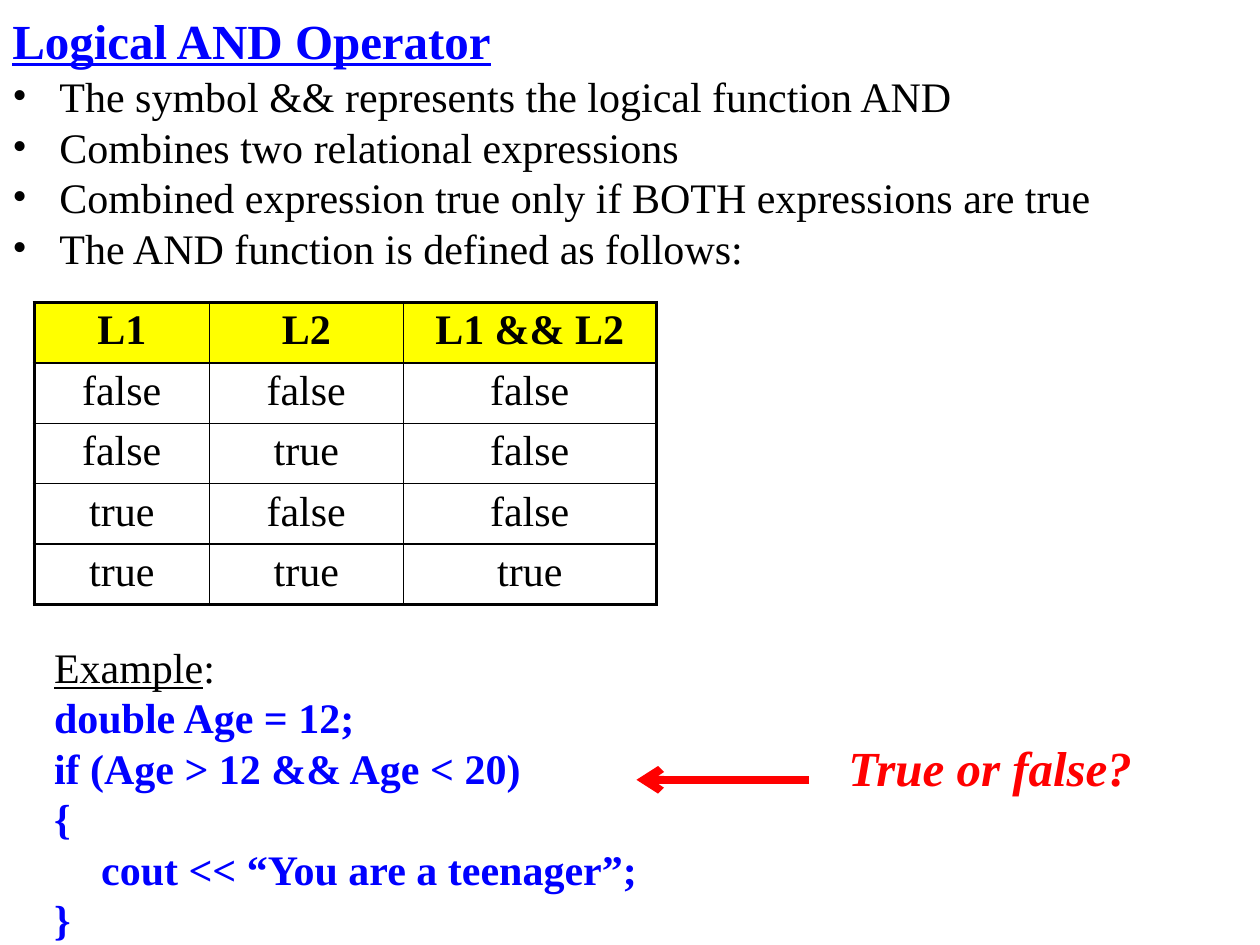
from lxml.etree import SubElement
from pptx import Presentation
from pptx.dml.color import RGBColor
from pptx.enum.shapes import MSO_CONNECTOR
from pptx.enum.text import MSO_ANCHOR, PP_ALIGN
from pptx.oxml.ns import qn
from pptx.util import Cm, Pt

FONT = "Times New Roman"
BLACK, BLUE, RED, YELLOW = "000000", "0000FF", "FF0000", "FFFF00"
THIN, THICK = 1, 2.25

POINTS = [
    "The symbol && represents the logical function AND",
    "Combines two relational expressions",
    "Combined expression true only if BOTH expressions are true",
    "The AND function is defined as follows:",
]
TRUTH = [
    ["L1", "L2", "L1 && L2"],
    ["false", "false", "false"],
    ["false", "true", "false"],
    ["true", "false", "false"],
    ["true", "true", "true"],
]
CODE = [
    "double Age = 12;",
    "if (Age > 12 && Age < 20)",
    "{",
    "\tcout << “You are a teenager”;",
    "}",
]


def paint(code):
    """Turn a hex string into a colour."""
    return RGBColor.from_string(code)


class Deck:
    def __init__(self, slide):
        self.slide = slide

    def style(self, para, size=24, color=BLACK, bold=False, italic=False, under=False):
        for run in para.runs:
            font = run.font
            font.name, font.size = FONT, Pt(size)
            font.bold, font.italic, font.underline = bold, italic, under
            font.color.rgb = paint(color)

    def box(self, left, top, width, height, wrap=True):
        shape = self.slide.shapes.add_textbox(Cm(left), Cm(top), Cm(width), Cm(height))
        shape.text_frame.word_wrap = wrap
        return shape.text_frame

    def label(self, text, place, wrap=True, align=PP_ALIGN.LEFT, **look):
        frame = self.box(*place, wrap=wrap)
        frame.vertical_anchor = MSO_ANCHOR.MIDDLE
        frame.text = text
        para = frame.paragraphs[0]
        para.alignment = align
        self.style(para, size=28, bold=True, **look)

    def lines(self, texts, place, bullet=False, **look):
        """Add tight paragraphs with a hanging indent."""
        frame = self.box(*place)
        for i, text in enumerate(texts):
            para = frame.add_paragraph() if i else frame.paragraphs[0]
            para.text = text
            props = para._p.get_or_add_pPr()
            props.set("marL", str(Cm(0.95)))
            props.set("indent", str(-Cm(0.95)))
            if bullet:
                SubElement(props, qn("a:buFont"), typeface=FONT)
                SubElement(props, qn("a:buChar"), char="•")
            para.line_spacing = 0.8
            if i:
                para.space_before = Pt(5.8)
            self.style(para, **look)
        return frame

    def edge(self, cell, sides):
        """Draw cell borders from a map of side to width in points."""
        props = cell._tc.get_or_add_tcPr()
        for i, (side, width) in enumerate(sides.items()):
            line = SubElement(props, qn("a:ln" + side), w=str(Pt(width)))
            fill = SubElement(line, qn("a:solidFill"))
            SubElement(fill, qn("a:srgbClr"), val=BLACK)
            props.insert(i, line)

    def table(self, rows, left, top, widths, height):
        count = len(rows)
        table = self.slide.shapes.add_table(
            count, len(widths), Cm(left), Cm(top), Cm(sum(widths)), Cm(height * count)
        ).table
        table.first_row = table.horz_banding = False
        for col, width in zip(table.columns, widths):
            col.width = Cm(width)
        for r, row in enumerate(rows):
            table.rows[r].height = Cm(height)
            for c, text in enumerate(row):
                cell = table.cell(r, c)
                cell.margin_top = cell.margin_bottom = Cm(0.1)
                cell.text = text
                para = cell.text_frame.paragraphs[0]
                para.alignment = PP_ALIGN.CENTER
                self.style(para, bold=r == 0)
                if r == 0:
                    cell.fill.solid()
                    cell.fill.fore_color.rgb = paint(YELLOW)
                else:
                    cell.fill.background()
                self.edge(cell, {
                    "L": THIN if c else THICK,
                    "R": THICK if c == len(row) - 1 else THIN,
                    "T": THIN if r else THICK,
                    "B": THICK if r == count - 1 else THIN,
                })

    def arrow(self, start, end, color, width):
        line = self.slide.shapes.add_connector(
            MSO_CONNECTOR.STRAIGHT, *map(Cm, start), *map(Cm, end)
        )
        line.line.color.rgb = paint(color)
        line.line.width = Pt(width)
        SubElement(line.line._get_or_add_ln(), qn("a:tailEnd"), type="arrow")
        SubElement(line._element.spPr, qn("a:effectLst"))


def main():
    show = Presentation()
    show.slide_width, show.slide_height = Cm(25.4), Cm(19.05)
    deck = Deck(show.slides.add_slide(show.slide_layouts[6]))

    deck.label("Logical AND Operator", (0, 0.1, 11.15, 1.4), color=BLUE, under=True)
    deck.lines(POINTS, (0, 1.5, 24.77, 4.24), bullet=True)
    deck.table(TRUTH, 0.69, 6.1, [3.53, 3.91, 5.1], 1.2)

    code = deck.lines(["Example"] + CODE, (0.84, 13, 12.4, 6.05), color=BLUE, bold=True)
    head = code.paragraphs[0]
    head.add_run().text = ":"
    deck.style(head)
    head.runs[0].font.underline = True

    deck.arrow((16.31, 15.72), (12.83, 15.72), RED, 4.5)
    deck.label("True or false?", (16.81, 14.73, 6.3, 1.45), wrap=False,
               align=PP_ALIGN.CENTER, color=RED, italic=True)
    show.save("out.pptx")


if __name__ == "__main__":
    main()
